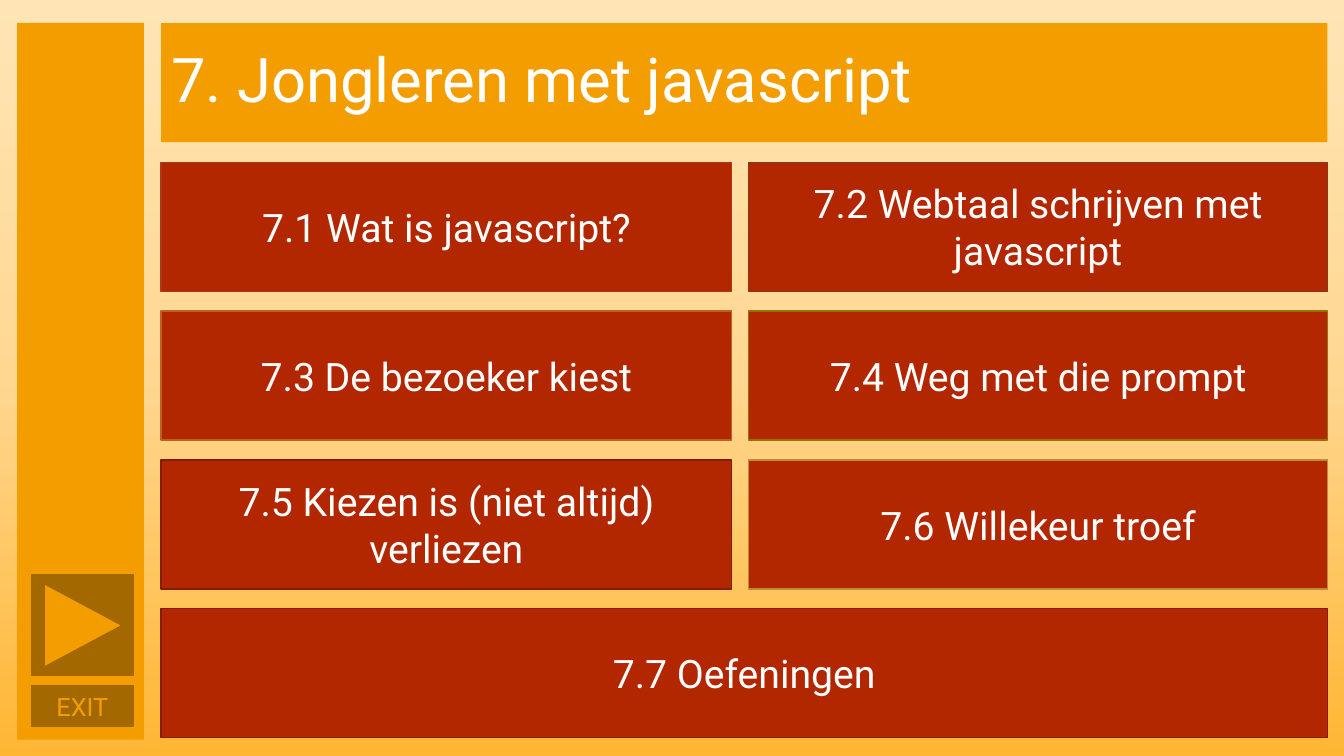
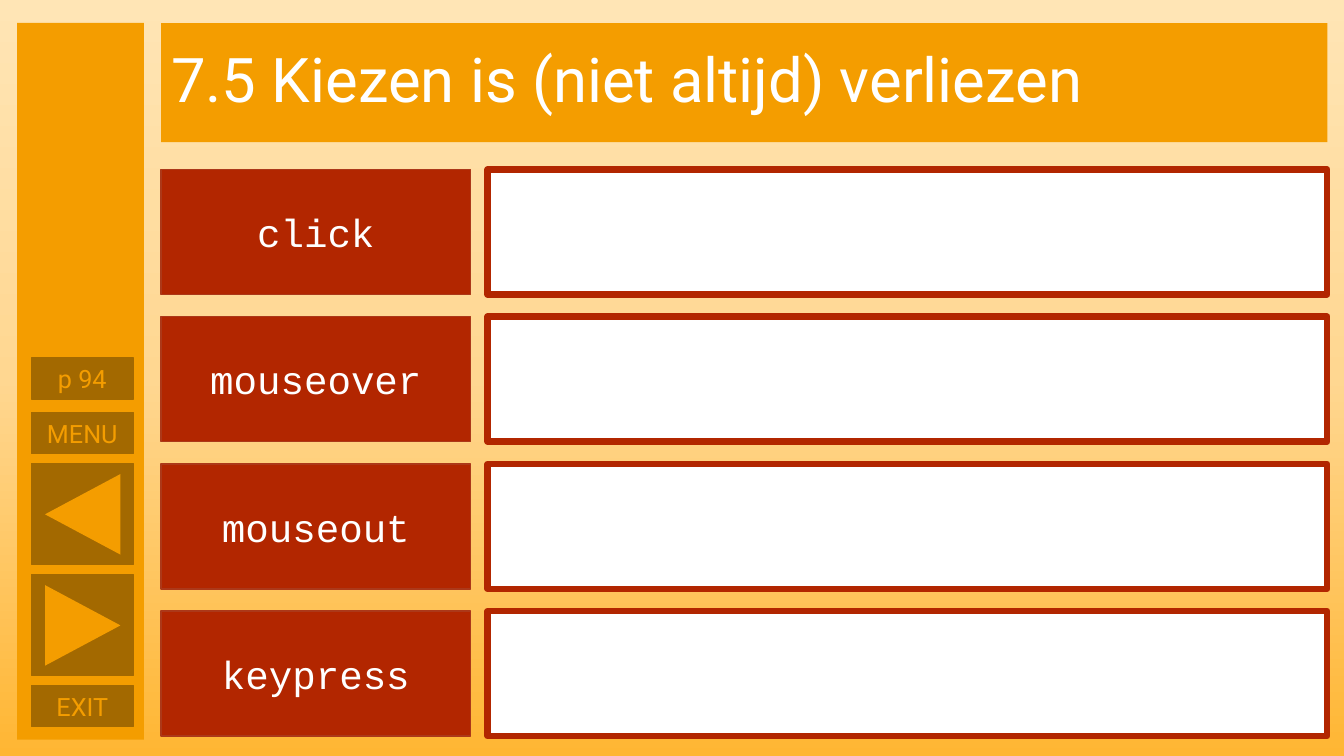
from copy import deepcopy

from pptx import Presentation
from pptx.dml.color import RGBColor
from pptx.enum.shapes import MSO_SHAPE
from pptx.enum.text import MSO_ANCHOR, MSO_AUTO_SIZE, PP_ALIGN
from pptx.oxml.ns import qn
from pptx.util import Cm, Pt

ORANGE = RGBColor(0xF4, 0x9D, 0x00)
BROWN = RGBColor(0xA3, 0x69, 0x00)
RED = RGBColor(0xB2, 0x26, 0x00)
RUST = RGBColor(0xAC, 0x38, 0x19)
DARK = RGBColor(0x84, 0x1C, 0x00)
WHITE = RGBColor(0xFF, 0xFF, 0xFF)
SKY = [
    (0, RGBColor(0xFF, 0xE5, 0xB5)),
    (0.5, RGBColor(0xFF, 0xD7, 0x91)),
    (1, RGBColor(0xFF, 0xB6, 0x33)),
]

TITLE = {"name": "Roboto", "size": Pt(44), "color": WHITE}
TILE = {"name": "Roboto", "size": Pt(28), "color": WHITE}
CODE = {"name": "Courier New", "size": Pt(28), "color": WHITE}
BUTTON = {"name": "Roboto", "size": Pt(18), "color": ORANGE}

LEFT, RIGHT, TOP = 4.06, 33.45, 0.58
SIDE = 0.79
WIDE = 2.57

MENU = [
    ("7.1 Wat is javascript?", RUST),
    ("7.2 Webtaal schrijven met javascript", RGBColor(0x87, 0x36, 0x1C)),
    ("7.3 De bezoeker kiest", RGBColor(0xBD, 0x62, 0x1D)),
    ("7.4 Weg met die prompt", RGBColor(0x97, 0x71, 0x00)),
    ("7.5 Kiezen is (niet altijd) verliezen", DARK),
    ("7.6 Willekeur troef", RGBColor(0xBD, 0x8C, 0x35)),
    ("7.7 Oefeningen", DARK),
]
EVENTS = ["click", "mouseover", "mouseout", "keypress"]


def style(font, form):
    for key, value in form.items():
        if key == "color":
            font.color.rgb = value
        else:
            setattr(font, key, value)


def block(slide, x, y, w, h, fill, line=None, weight=1, kind=MSO_SHAPE.RECTANGLE):
    shape = slide.shapes.add_shape(kind, Cm(x), Cm(y), Cm(w), Cm(h))
    shape.shadow.inherit = False
    shape.fill.solid()
    shape.fill.fore_color.rgb = fill
    if line is None:
        shape.line.fill.background()
    else:
        shape.line.color.rgb = line
        shape.line.width = Pt(weight)
    return shape


def label(shape, text, form):
    frame = shape.text_frame
    frame.word_wrap = True
    frame.vertical_anchor = MSO_ANCHOR.MIDDLE
    frame.text = text
    para = frame.paragraphs[0]
    para.alignment = PP_ALIGN.CENTER
    style(para.font, form)


def button(slide, y, text):
    label(block(slide, SIDE, y, WIDE, 1.04, BROWN, BROWN), text, BUTTON)


def arrow(slide, y, turn):
    """Draw a square button whose triangle is turned by the given degrees."""
    block(slide, SIDE, y, WIDE, 2.54, BROWN, BROWN)
    head = block(slide, 1.07, y + 0.33, 2.03, 1.9, ORANGE,
                 kind=MSO_SHAPE.ISOSCELES_TRIANGLE)
    head.rotation = turn


def backdrop(master):
    fill = master.background.fill
    fill.gradient()
    fill.gradient_angle = 270
    stops = master.element.find(".//" + qn("a:gsLst"))
    stops.append(deepcopy(stops[-1]))
    for stop, (place, color) in zip(fill.gradient_stops, SKY):
        stop.position = place
        stop.color.rgb = color


def page(deck, text):
    """Add a slide with the title band, side bar and the buttons all slides have."""
    slide = deck.slides.add_slide(deck.slide_layouts[5])
    title = slide.shapes.title
    spot = {"left": LEFT, "top": TOP, "width": RIGHT - LEFT, "height": 3}
    for key, value in spot.items():
        setattr(title, key, Cm(value))
    title.fill.solid()
    title.fill.fore_color.rgb = ORANGE
    label(title, text, TITLE)
    title.text_frame.auto_size = MSO_AUTO_SIZE.NONE
    para = title.text_frame.paragraphs[0]
    para.alignment = PP_ALIGN.LEFT
    para.line_spacing = 0.9

    block(slide, 0.43, TOP, 3.2, 18.06, ORANGE)
    button(slide, 17.27, "EXIT")
    arrow(slide, 14.48, 90)
    return slide


def menu(deck):
    slide = page(deck, "7. Jongleren met javascript")
    middle = 18.87
    for i, (text, line) in enumerate(MENU):
        row, col = divmod(i, 2)
        x = middle if col else LEFT
        last = i == len(MENU) - 1
        end = RIGHT if col or last else middle - 0.43
        tile = block(slide, x, 4.09 + row * 3.75, end - x, 3.25, RED, line)
        label(tile, text, TILE)


def events(deck):
    slide = page(deck, "7.5\tKiezen is (niet altijd) verliezen")
    arrow(slide, 11.68, 270)
    button(slide, 10.39, "MENU")
    button(slide, 9.02, "p 94")
    start = 12.29
    for i, name in enumerate(EVENTS):
        y = 4.27 + i * 3.71
        label(block(slide, LEFT, y, 7.8, 3.15, RED, RUST), name, CODE)
        block(slide, start, y, RIGHT - start, 3.15, WHITE, RED, 4.5)


def main():
    deck = Presentation()
    deck.slide_width, deck.slide_height = Cm(33.87), Cm(19.05)
    backdrop(deck.slide_master)
    menu(deck)
    events(deck)
    deck.save("out.pptx")


if __name__ == "__main__":
    main()
